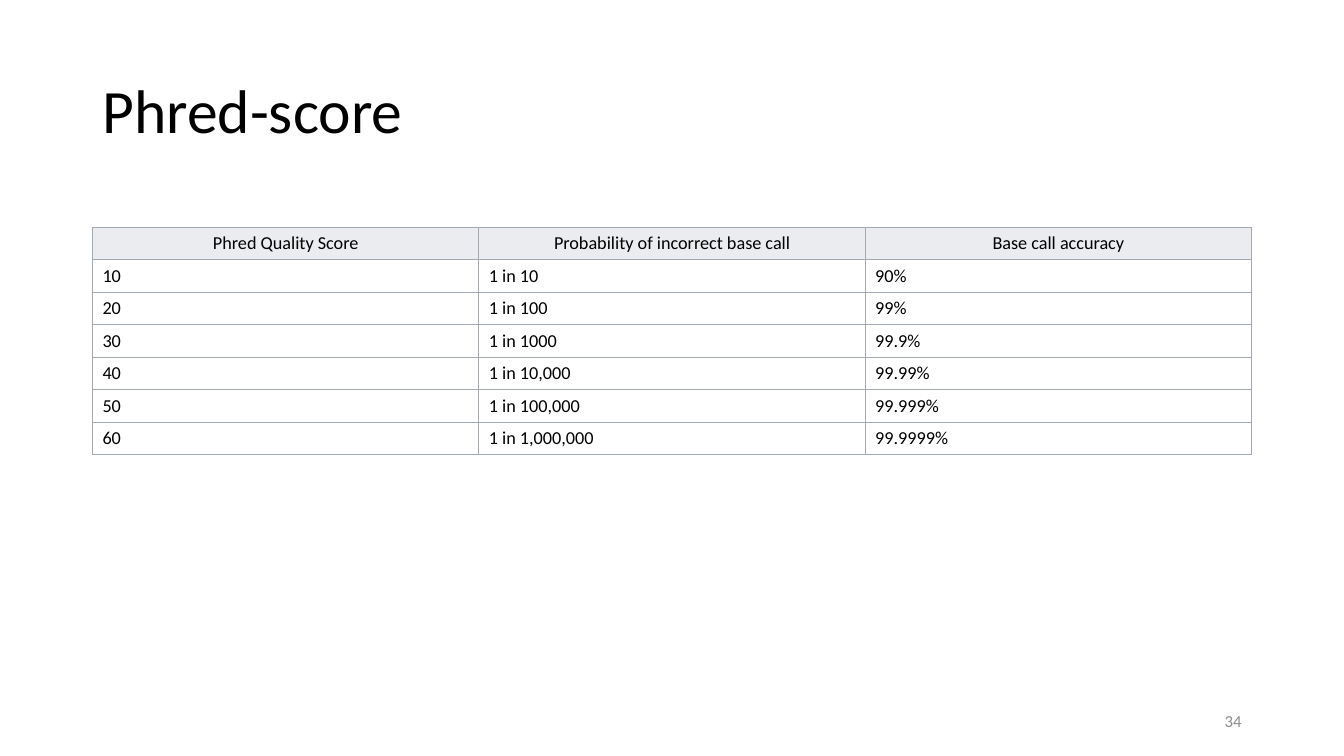
from lxml import etree
from pptx import Presentation
from pptx import util as u
from pptx.dml.color import RGBColor
from pptx.enum import text
from pptx.oxml import ns

COLORS = {
    "text": "000000",
    "number": "8C8C8C",
    "header": "EAECF0",
    "body": "FFFFFF",
    "border": "A2A9B1",
}
FONT = "Calibri"
LEFT, WIDTH = 2.33, 29.21
ROW_HEIGHT = 0.82


def write(frame, words, size, color, alignment):
    frame.word_wrap = True
    paragraph = frame.paragraphs[0]
    paragraph.alignment = alignment
    run = paragraph.add_run()
    run.text = words
    run.font.name = FONT
    run.font.size = u.Pt(size)
    run.font.color.rgb = RGBColor.from_string(COLORS[color])
    return paragraph


def add_borders(cell):
    properties = cell._tc.get_or_add_tcPr()
    for side in ("lnL", "lnR", "lnT", "lnB"):
        line = etree.SubElement(properties, ns.qn(f"a:{side}"), w=str(u.Pt(0.75)))
        fill = etree.SubElement(line, ns.qn("a:solidFill"))
        etree.SubElement(fill, ns.qn("a:srgbClr"), val=COLORS["border"])


presentation = Presentation()
presentation.slide_width = u.Cm(33.87)
presentation.slide_height = u.Cm(19.05)
slide = presentation.slides.add_slide(presentation.slide_layouts[6])

title = slide.shapes.add_textbox(u.Cm(LEFT), u.Cm(1.01), u.Cm(WIDTH), u.Cm(3.68))
title.text_frame.vertical_anchor = text.MSO_ANCHOR.MIDDLE
title_paragraph = write(title.text_frame, "Phred-score", 44, "text", text.PP_ALIGN.LEFT)
title_paragraph.line_spacing = 0.9

scores = [
    ("Phred Quality Score", "Probability of incorrect base call", "Base call accuracy"),
    ("10", "1 in 10", "90%"),
    ("20", "1 in 100", "99%"),
    ("30", "1 in 1000", "99.9%"),
    ("40", "1 in 10,000", "99.99%"),
    ("50", "1 in 100,000", "99.999%"),
    ("60", "1 in 1,000,000", "99.9999%"),
]
table = slide.shapes.add_table(
    len(scores), len(scores[0]), u.Cm(LEFT), u.Cm(5.73),
    u.Cm(WIDTH), u.Cm(ROW_HEIGHT * len(scores)),
).table
table.horz_banding = False

for row_index, values in enumerate(scores):
    is_header = row_index == 0
    alignment = text.PP_ALIGN.CENTER if is_header else text.PP_ALIGN.LEFT
    background = COLORS["header" if is_header else "body"]
    for column_index, value in enumerate(values):
        cell = table.cell(row_index, column_index)
        cell.vertical_anchor = text.MSO_ANCHOR.MIDDLE
        add_borders(cell)
        cell.fill.solid()
        cell.fill.fore_color.rgb = RGBColor.from_string(background)
        paragraph = write(cell.text_frame, value, 13, "text", alignment)
        paragraph.runs[0].font.bold = False

number = slide.shapes.add_textbox(u.Cm(23.92), u.Cm(17.66), u.Cm(7.62), u.Cm(1.01))
number.text_frame.vertical_anchor = text.MSO_ANCHOR.MIDDLE
write(number.text_frame, "34", 12, "number", text.PP_ALIGN.RIGHT)

presentation.save("out.pptx")
